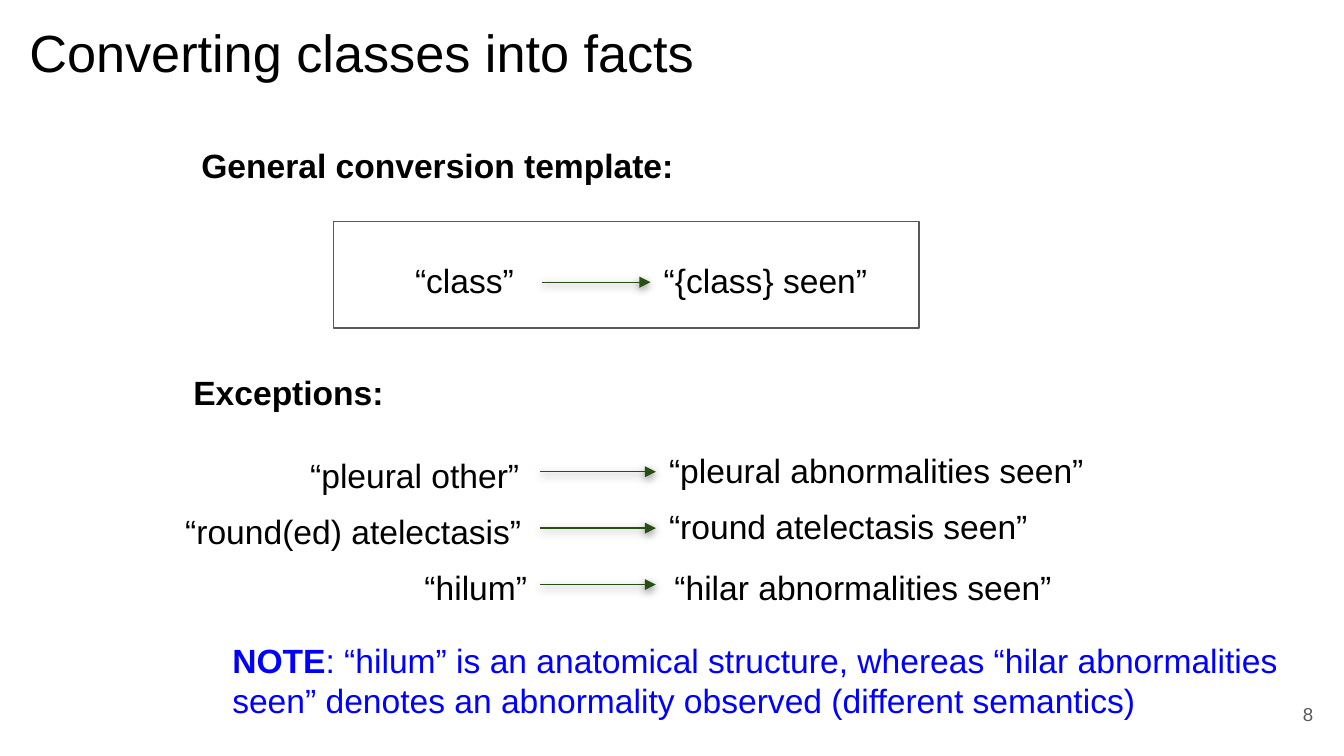
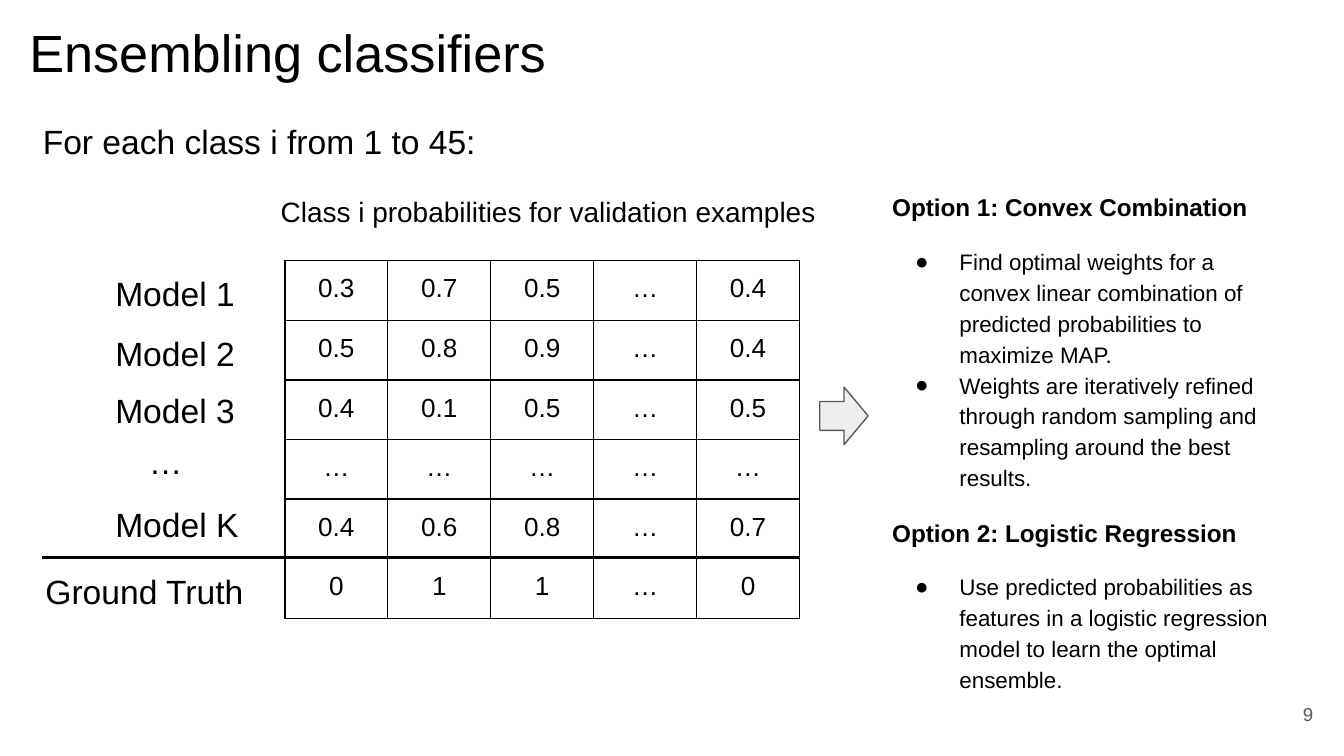
"""Build two slides on class-to-fact conversion and classifier ensembling."""
from pptx import Presentation
from pptx.dml.color import RGBColor
from pptx.enum.shapes import MSO_CONNECTOR, MSO_SHAPE
from pptx.enum.text import MSO_ANCHOR, PP_ALIGN
from pptx.oxml import parse_xml
from pptx.oxml.ns import nsdecls
from pptx.util import Inches, Pt

BLACK = RGBColor(0x00, 0x00, 0x00)
GRAY = RGBColor(0x59, 0x59, 0x59)
LIGHT = RGBColor(0xEE, 0xEE, 0xEE)
BLUE = RGBColor(0x00, 0x00, 0xFF)
GREEN = RGBColor(0x27, 0x4E, 0x13)
LEFT, CENTER, RIGHT = PP_ALIGN.LEFT, PP_ALIGN.CENTER, PP_ALIGN.RIGHT
TOP, MIDDLE = MSO_ANCHOR.TOP, MSO_ANCHOR.MIDDLE
STRAIGHT = MSO_CONNECTOR.STRAIGHT
RECT, RIGHT_ARROW = MSO_SHAPE.RECTANGLE, MSO_SHAPE.RIGHT_ARROW
FONT = "Arial"
NS = nsdecls("a")
SHADOW = ('<a:outerShdw blurRad="57150" dist="19050" dir="5400000">'
          '<a:srgbClr val="000000"><a:alpha val="50000"/></a:srgbClr></a:outerShdw>')


class Deck:
    """Holds the presentation, its style and the current slide."""

    def __init__(self):
        self.prs = Presentation()
        self.prs.slide_width, self.prs.slide_height = Inches(10), Inches(10) * 9 // 16
        self.s = None

    def slide(self, title, title_w, number):
        self.s = self.prs.slides.add_slide(self.prs.slide_layouts[6])
        self.text(0.12, 0.05, title_w, 0.63, title, 28)
        self.text(9.27, 5.1, 0.6, 0.43, str(number), 10, GRAY, align=RIGHT, anchor=MIDDLE)

    def run(self, p, text, size=18, color=BLACK, bold=False):
        r = p.add_run()
        r.text = text
        r.font.name, r.font.size, r.font.bold = FONT, Pt(size), bold
        r.font.color.rgb = color

    def frame(self, x, y, w, h, anchor=TOP):
        tf = self.s.shapes.add_textbox(Inches(x), Inches(y), Inches(w), Inches(h)).text_frame
        tf.word_wrap, tf.vertical_anchor = True, anchor
        tf.margin_left = tf.margin_right = tf.margin_top = tf.margin_bottom = Inches(0.1)
        return tf

    def text(self, x, y, w, h, text, size=18, color=BLACK, bold=False, align=LEFT, anchor=TOP):
        p = self.frame(x, y, w, h, anchor).paragraphs[0]
        p.alignment = align
        self.run(p, text, size, color, bold)
        return p

    def phrase(self, x, y, w, h, text):
        p = self.text(x, y, w, h, text)
        p.line_spacing, p.space_after = 1.15, Pt(12)

    def options(self, x, y, w, h, sections):
        tf = self.frame(x, y, w, h)
        for i, (heading, bullets) in enumerate(sections):
            p = tf.add_paragraph() if i else tf.paragraphs[0]
            p.line_spacing, p.space_before = 1.15, Pt(12 if i else 0)
            self.run(p, heading, 13, bold=True)
            for j, bullet in enumerate(bullets):
                p = tf.add_paragraph()
                self.bullet(p)
                p.line_spacing, p.space_before = 1.15, Pt(0 if j else 12)
                self.run(p, bullet, 12)

    def bullet(self, p):
        pPr = p._p.get_or_add_pPr()
        pPr.set("marL", str(Inches(0.5)))
        pPr.set("indent", str(-Inches(0.33)))
        for xml in (f'<a:buClr {NS}><a:srgbClr val="{BLACK}"/></a:buClr>',
                    f'<a:buFont {NS} typeface="{FONT}"/>',
                    f'<a:buChar {NS} char="●"/>'):
            pPr.append(parse_xml(xml))

    def shape(self, kind, x, y, w, h, fill=None):
        sp = self.s.shapes.add_shape(kind, Inches(x), Inches(y), Inches(w), Inches(h))
        sp.shadow.inherit = False
        if fill is None:
            sp.fill.background()
        else:
            sp.fill.solid()
            sp.fill.fore_color.rgb = fill
        sp.line.color.rgb, sp.line.width = GRAY, Pt(0.75)

    def line(self, x1, x2, y, color=BLACK, width=1.5, effect=""):
        c = self.s.shapes.add_connector(STRAIGHT, Inches(x1), Inches(y), Inches(x2), Inches(y))
        c.line.color.rgb, c.line.width = color, Pt(width)
        c._element.spPr.append(parse_xml(f"<a:effectLst {NS}>{effect}</a:effectLst>"))
        return c

    def arrow(self, x1, x2, y):
        c = self.line(x1, x2, y, GREEN, 0.75, SHADOW)
        c.line._get_or_add_ln().append(parse_xml(f'<a:tailEnd {NS} type="triangle"/>'))

    def table(self, x, y, w, h, rows):
        n, m = len(rows), len(rows[0])
        table = self.s.shapes.add_table(n, m, Inches(x), Inches(y), Inches(w), Inches(h)).table
        table.first_row = table.horz_banding = False
        for row, values in zip(table.rows, rows):
            for cell, value in zip(row.cells, values):
                self.cell(cell, value)

    def cell(self, cell, value):
        cell.fill.background()
        cell.margin_left = cell.margin_right = cell.margin_top = cell.margin_bottom = Inches(0.1)
        p = cell.text_frame.paragraphs[0]
        p.alignment = CENTER
        self.run(p, value, 14)
        tcPr = cell._tc.get_or_add_tcPr()
        for i, side in enumerate("LRTB"):
            tcPr.insert(i, parse_xml(
                f'<a:ln{side} {NS} w="{Pt(0.75)}"><a:solidFill><a:srgbClr val="{BLACK}"/>'
                f'</a:solidFill></a:ln{side}>'))


def conversion_slide(deck):
    deck.slide("Converting classes into facts", 5.61, 8)
    note = deck.text(1.63, 4.66, 8.05, 0.81, "NOTE", color=BLUE, bold=True)
    deck.run(note, ": “hilum” is an anatomical structure, whereas “hilar abnormalities "
                   "seen” denotes an abnormality observed (different semantics)", color=BLUE)
    deck.shape(RECT, 2.48, 1.65, 4.36, 0.79)
    for phrase in (
        (2.99, 1.79, 1.03, 0.63, "“class”"),
        (4.84, 1.79, 2.1, 0.63, "“{class} seen”"),
        (2.21, 3.24, 2.1, 0.63, "“pleural other”"),
        (4.88, 3.2, 3.46, 0.63, "“pleural abnormalities seen”"),
        (1.28, 3.66, 2.81, 0.63, "“round(ed) atelectasis”"),
        (4.88, 3.62, 3.55, 0.63, "“round atelectasis seen”"),
        (3.06, 4.07, 1.12, 0.5, "“hilum”"),
        (4.92, 4.07, 3.16, 0.63, "“hilar abnormalities seen”"),
    ):
        deck.phrase(*phrase)
    deck.arrow(4.03, 4.84, 2.1)
    for i in range(3):
        deck.arrow(4.02, 4.88, 3.51 + 0.42 * i)
    deck.text(1.4, 0.98, 5.41, 0.5, "General conversion template:", bold=True)
    deck.text(1.34, 2.67, 5.41, 0.5, "Exceptions:", bold=True)


def ensemble_slide(deck):
    deck.slide("Ensembling classifiers", 4.3, 9)
    deck.table(2.12, 1.94, 3.83, 2.66, [
        ("0.3", "0.7", "0.5", "…", "0.4"),
        ("0.5", "0.8", "0.9", "…", "0.4"),
        ("0.4", "0.1", "0.5", "…", "0.5"),
        ("…",) * 5,
        ("0.4", "0.6", "0.8", "…", "0.7"),
        ("0", "1", "1", "…", "0"),
    ])
    for x, y, w, label in (
        (0.76, 1.93, 1.24, "Model 1"),
        (0.76, 2.38, 1.24, "Model 2"),
        (0.76, 2.8, 1.24, "Model 3"),
        (1.01, 3.18, 1.24, "…"),
        (0.76, 3.65, 1.24, "Model K"),
        (0.24, 4.15, 1.73, "Ground Truth"),
        (0.22, 0.8, 4.15, "For each class i from 1 to 45:"),
    ):
        deck.text(x, y, w, 0.5, label)
    deck.text(1.99, 1.35, 4.3, 0.45, "Class i probabilities for validation examples", 15)
    deck.shape(RIGHT_ARROW, 6.1, 2.88, 0.36, 0.43, LIGHT)
    deck.options(6.54, 1.3, 3.01, 3.85, [
        ("Option 1: Convex Combination", [
            "Find optimal weights for a convex linear combination of predicted "
            "probabilities to maximize MAP.",
            "Weights are iteratively refined through random sampling and resampling "
            "around the best results."]),
        ("Option 2: Logistic Regression", [
            "Use predicted probabilities as features in a logistic regression model "
            "to learn the optimal ensemble."]),
    ])
    deck.line(0.31, 5.95, 4.15)


def main():
    deck = Deck()
    conversion_slide(deck)
    ensemble_slide(deck)
    deck.prs.save("out.pptx")


if __name__ == "__main__":
    main()
